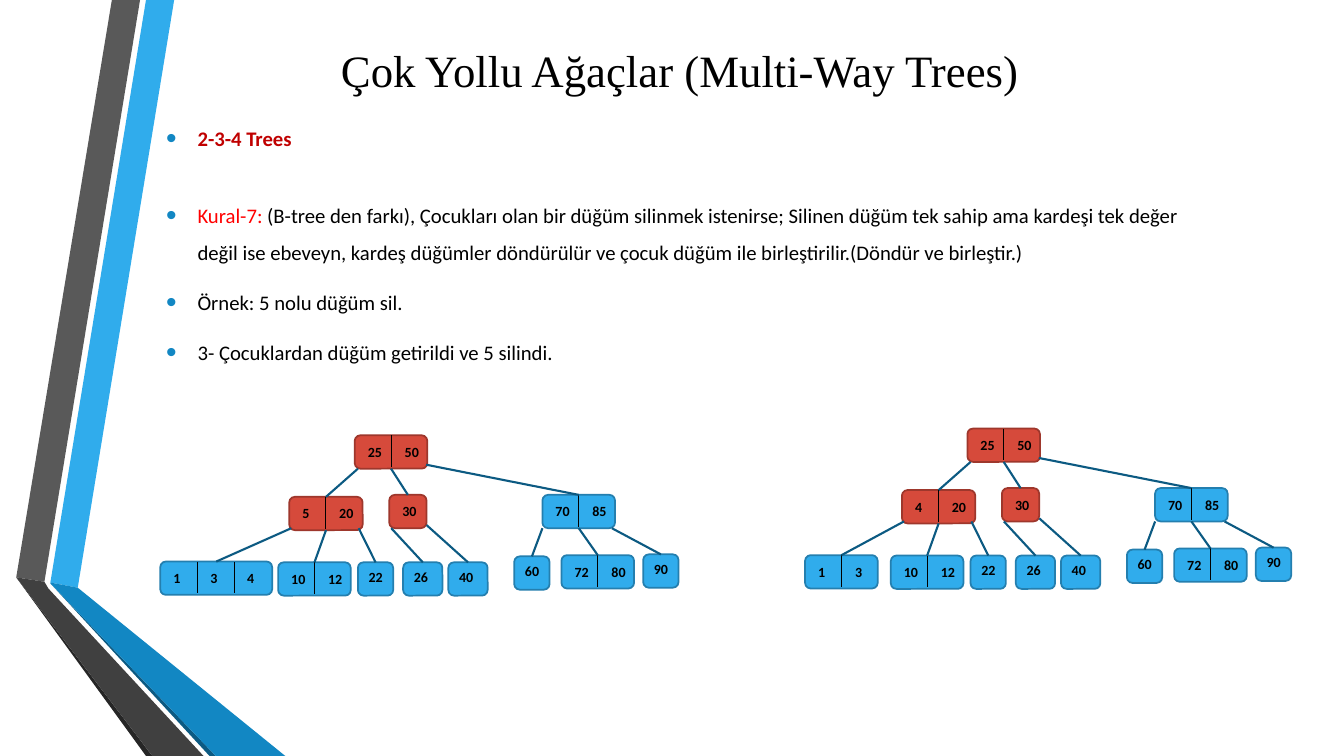
from lxml import etree
from pptx import Presentation
from pptx.dml.color import RGBColor
from pptx.enum.shapes import MSO_CONNECTOR, MSO_SHAPE
from pptx.enum.text import MSO_ANCHOR, PP_ALIGN
from pptx.oxml.ns import qn
from pptx.util import Cm, Pt

STRAIGHT = MSO_CONNECTOR.STRAIGHT
ROUNDED = MSO_SHAPE.ROUNDED_RECTANGLE
MIDDLE = MSO_ANCHOR.MIDDLE
CENTER, LEFT = PP_ALIGN.CENTER, PP_ALIGN.LEFT
TOP_SIDE, BOTTOM_SIDE = 0, 2

COLORS = {
    "black": "000000", "sky": "30ACEC", "sky_line": "247FAF",
    "red": "D64A3B", "red_line": "9E372C", "edge": "0C5A82",
    "blue": "1287C3", "gray": "595959", "charcoal": "404040",
    "coal": "262626", "heading": "C00000", "rule": "FF0000",
}

# Ribbon outlines in cm, from back to front
RIBBONS = [
    ("sky", [(1.27, 14.68), (1.96, 14.81), (4.39, 0), (3.68, 0)]),
    ("gray", [(3.53, 0), (2.82, 0), (0.41, 14.55), (1.12, 14.66)]),
    ("coal", [(0.41, 14.55), (3.68, 19.05), (3.84, 19.05)]),
    ("edge", [(1.27, 14.7), (5.28, 19.05), (5.44, 19.05)]),
    ("blue", [(1.27, 14.68), (1.27, 14.7), (5.44, 19.05), (7.19, 19.05), (1.96, 14.81)]),
    ("charcoal", [(0.41, 14.55), (3.84, 19.05), (5.13, 19.05), (1.22, 14.83), (1.12, 14.66)]),
]

# Each node: left, top, width, color, keys; cm from the tree's corner
NODES = {
    "root": (4.9, 0, 1.83, "red", ["25", "50"]),
    "middle": (5.77, 1.5, 0.94, "red", ["30"]),
    "right": (9.63, 1.5, 1.83, "sky", ["70", "85"]),
    "leaf 10": (2.97, 3.2, 1.83, "sky", ["10", "12"]),
    "leaf 22": (4.98, 3.2, 0.89, "sky", ["22"]),
    "leaf 26": (6.12, 3.2, 0.99, "sky", ["26"]),
    "leaf 40": (7.26, 3.2, 0.99, "sky", ["40"]),
    "leaf 60": (8.92, 3.05, 0.89, "sky", ["60"]),
    "leaf 72": (10.11, 3.02, 1.83, "sky", ["72", "80"]),
    "leaf 90": (12.17, 3, 0.89, "sky", ["90"]),
}
NODE_HEIGHT = 0.84
KEY_STEP = 0.93

# Parent, child, start point inside the parent (None: middle of its bottom)
EDGES = [
    ("root", "left", (0.08, 0.84)),
    ("root", "middle", None),
    ("root", "right", (1.8, 0.74)),
    ("left", "first leaf", (0.05, 0.79)),
    ("left", "leaf 10", None),
    ("left", "leaf 22", (1.75, 0.79)),
    ("middle", "leaf 26", (0.05, 0.84)),
    ("middle", "leaf 40", (0.94, 0.76)),
    ("right", "leaf 60", (0, 0.84)),
    ("right", "leaf 72", None),
    ("right", "leaf 90", (1.75, 0.84)),
]


def rgb(name):
    return RGBColor.from_string(COLORS[name])


def style_font(font, name, size, color, bold=False):
    font.name, font.size, font.bold = name, Pt(size), bold
    font.color.rgb = rgb(color)


def add_text_frame(slide, left, top, width, height):
    box = slide.shapes.add_textbox(Cm(left), Cm(top), Cm(width), Cm(height))
    box.text_frame.word_wrap = True
    return box.text_frame


def add_line(slide, start, end, color, weight):
    line = slide.shapes.add_connector(STRAIGHT, *(Cm(value) for value in (*start, *end)))
    line.line.color.rgb = rgb(color)
    line.line.width = Pt(weight)
    etree.SubElement(line._element.spPr, qn("a:effectLst"))
    return line


def add_bullet(paragraph):
    properties = paragraph._p.get_or_add_pPr()
    properties.set("marL", str(Cm(0.79)))
    properties.set("indent", str(-Cm(0.79)))
    color = etree.SubElement(properties, qn("a:buClr"))
    etree.SubElement(color, qn("a:srgbClr"), val=COLORS["blue"])
    etree.SubElement(properties, qn("a:buSzPct"), val="145000")
    etree.SubElement(properties, qn("a:buFont"), typeface="Arial")
    etree.SubElement(properties, qn("a:buChar"), char="•")


def add_ribbons(slide):
    for color, points in RIBBONS:
        corners = [(Cm(x), Cm(y)) for x, y in points]
        builder = slide.shapes.build_freeform(*corners[0])
        builder.add_line_segments(corners[1:], close=True)
        ribbon = builder.convert_to_shape()
        ribbon.shadow.inherit = False
        ribbon.fill.solid()
        ribbon.fill.fore_color.rgb = rgb(color)
        ribbon.line.fill.background()


def add_title(slide, left, top, width, height):
    frame = add_text_frame(slide, left, top, width, height)
    frame.vertical_anchor = MIDDLE
    paragraph = frame.paragraphs[0]
    paragraph.text = "Çok Yollu Ağaçlar (Multi-Way Trees)"
    paragraph.alignment = CENTER
    style_font(paragraph.font, "Times New Roman", 32, "black")


def add_body(slide, left, top, width, height):
    frame = add_text_frame(slide, left, top, width, height)
    # Runs of each paragraph, then space before and after in points
    paragraphs = [
        ([("2-3-4 Trees", "heading", True)], 0, 0),
        ([("Kural-7:", "rule", False),
          (" (B-tree den farkı), Çocukları olan bir düğüm silinmek istenirse; "
           "Silinen düğüm tek sahip ama kardeşi tek değer değil ise ebeveyn, "
           "kardeş düğümler döndürülür ve çocuk düğüm ile "
           "birleştirilir.(Döndür ve birleştir.)", "black", False)], 28.6, 6),
        ([("Örnek: 5 nolu düğüm sil.", "black", False)], 3, 6),
        ([("3- Çocuklardan düğüm getirildi ve 5 silindi.", "black", False)], 3, 6),
    ]
    for index, (runs, before, after) in enumerate(paragraphs):
        paragraph = frame.add_paragraph() if index else frame.paragraphs[0]
        paragraph.alignment = LEFT
        paragraph.line_spacing = 1.5
        paragraph.space_before, paragraph.space_after = Pt(before), Pt(after)
        add_bullet(paragraph)
        for text, color, bold in runs:
            run = paragraph.add_run()
            run.text = text
            style_font(run.font, "Calibri", 14.8, color, bold)


def add_node(slide, left, top, width, color, keys):
    node = slide.shapes.add_shape(ROUNDED, Cm(left), Cm(top), Cm(width), Cm(NODE_HEIGHT))
    node.shadow.inherit = False
    node.fill.solid()
    node.fill.fore_color.rgb = rgb(color)
    node.line.color.rgb = rgb(color + "_line")
    node.line.width = Pt(1.25)
    inset = 0.08 if len(keys) > 1 or color == "red" else 0.02
    for index, key in enumerate(keys):
        if index:
            x = left + index * width / len(keys)
            add_line(slide, (x, top), (x, top + 0.8), "black", 0.75)
        frame = add_text_frame(slide, left + inset + index * KEY_STEP, top + inset, 0.91, 0.69)
        paragraph = frame.paragraphs[0]
        paragraph.text = key
        style_font(paragraph.font, "Calibri", 10, "black", True)
    return node


def add_tree(slide, left, top, left_node, first_leaf):
    nodes = {**NODES, "left": left_node, "first leaf": first_leaf}
    shapes = {name: add_node(slide, left + x, top + y, width, color, keys)
              for name, (x, y, width, color, keys) in nodes.items()}
    for parent, child, start in EDGES:
        x, y = nodes[parent][:2]
        dx, dy = start or (nodes[parent][2] / 2, NODE_HEIGHT)
        child_x, child_y, child_width = nodes[child][:3]
        edge = add_line(slide, (left + x + dx, top + y + dy),
                        (left + child_x + child_width / 2, top + child_y), "edge", 1.5)
        if start is None:
            edge.begin_connect(shapes[parent], BOTTOM_SIDE)
        edge.end_connect(shapes[child], TOP_SIDE)


def main():
    presentation = Presentation()
    presentation.slide_width, presentation.slide_height = Cm(33.87), Cm(19.05)
    slide = presentation.slides.add_slide(presentation.slide_layouts[6])
    add_ribbons(slide)
    add_title(slide, 3.94, 0.43, 26.39, 2.64)
    add_body(slide, 3.94, 2.72, 26.39, 7.24)
    # Tree before and after the deletion of 5
    add_tree(slide, 4.04, 10.97, (3.25, 1.55, 1.85, "red", ["5", "20"]),
             (0, 3.18, 2.82, "sky", ["1", "3", "4"]))
    add_tree(slide, 19.48, 10.8, (3.25, 1.55, 1.85, "red", ["4", "20"]),
             (0.81, 3.19, 1.83, "sky", ["1", "3"]))
    presentation.save("out.pptx")


if __name__ == "__main__":
    main()
